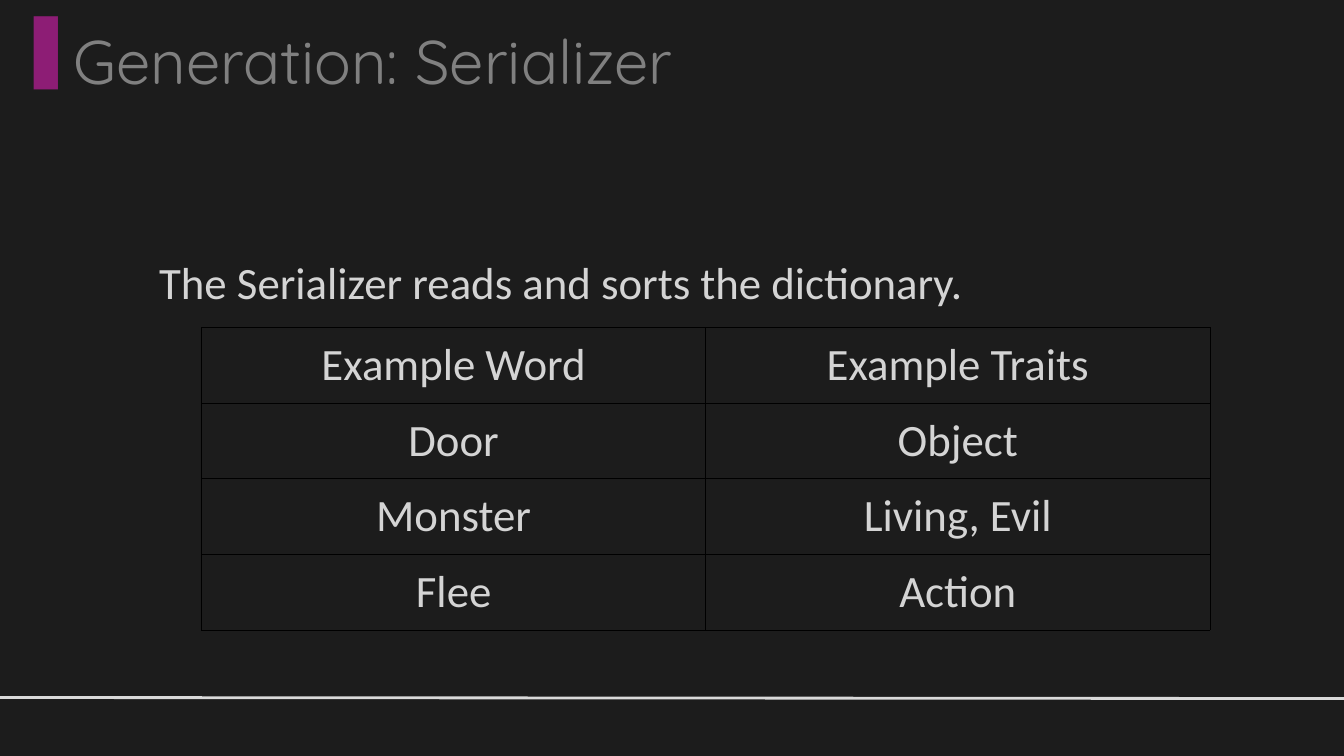
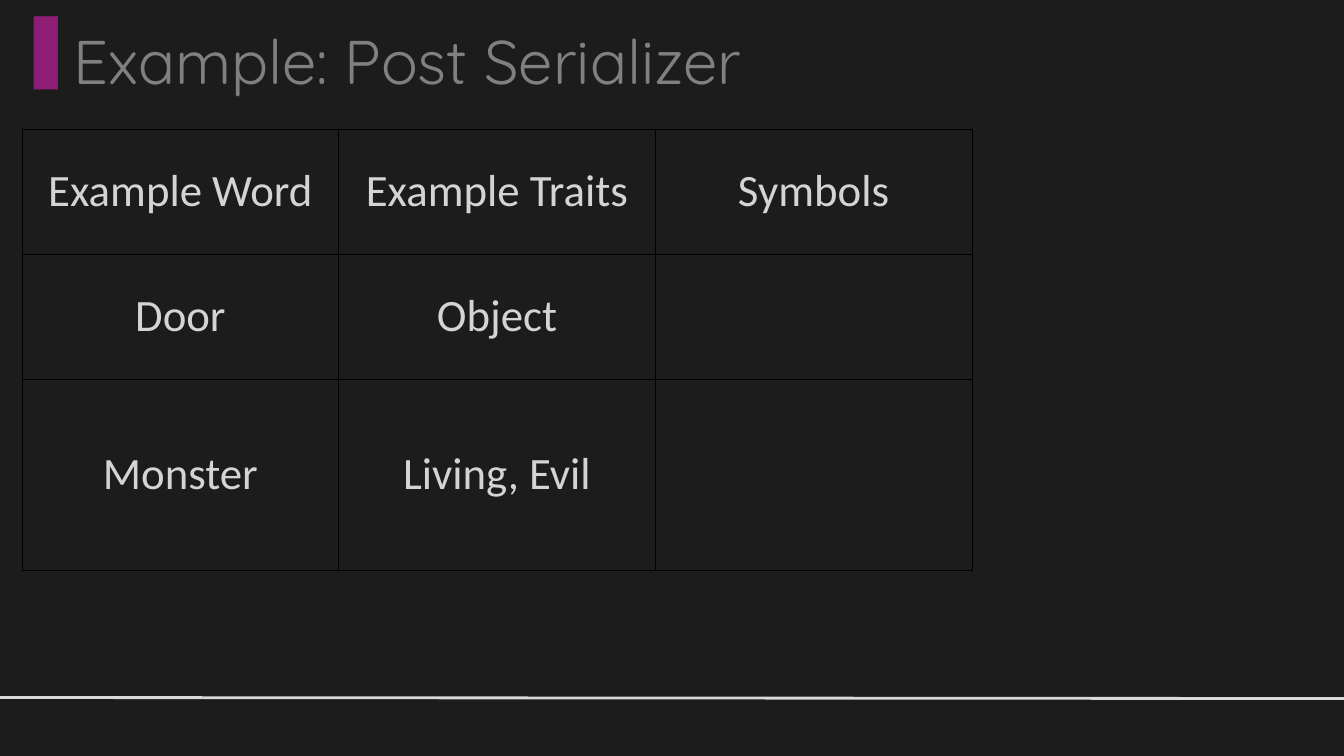
from lxml import etree
from pptx import Presentation
from pptx import util as u
from pptx.dml.color import RGBColor
from pptx.enum import shapes, text
from pptx.oxml import ns

COLORS = {"back": "1C1C1C", "rule": "D9D9D9", "mark": "8D1D75",
          "title": "808080", "body": "D4D4D4", "grid": "000000"}
FONTS = {"title": {"name": "Quicksand", "size": u.Pt(44), "bold": False},
         "body": {"name": "Calibri", "size": u.Pt(32), "bold": False}}
FRAME = {"word_wrap": True, "auto_size": text.MSO_AUTO_SIZE.NONE,
         "vertical_anchor": text.MSO_ANCHOR.TOP}
CELL = {"vertical_anchor": text.MSO_ANCHOR.MIDDLE,
        "margin_left": u.Inches(0.04), "margin_right": u.Inches(0.04),
        "margin_top": u.Inches(0.05), "margin_bottom": u.Inches(0.05)}
PLAIN = {"first_row": False, "horz_banding": False}
WIDTH, HEIGHT = 13.33, 7.5


def apply(obj, values):
    for key, value in values.items():
        setattr(obj, key, value)


def color(key):
    return RGBColor.from_string(COLORS[key])


def child(node, tag, **attrs):
    return etree.SubElement(node, ns.qn(tag), attrs)


class Deck:
    def __init__(self):
        self.prs = Presentation()
        apply(self.prs, {"slide_width": u.Inches(WIDTH),
                         "slide_height": u.Inches(HEIGHT)})
        fill = self.prs.slide_master.background.fill
        fill.solid()
        fill.fore_color.rgb = color("back")

    def start(self, title):
        self.slide = self.prs.slides.add_slide(self.prs.slide_layouts[5])
        self.rule()
        self.title(title)

    def rule(self):
        ends = [u.Inches(n) for n in (0, 6.92, WIDTH, 6.93)]
        line = self.slide.shapes.add_connector(
            shapes.MSO_CONNECTOR.STRAIGHT, *ends)
        line.line.color.rgb = color("rule")
        line.line.width = u.Pt(0)
        child(line._element.spPr, "a:effectLst")

    def label(self, para, words, style):
        run = para.add_run()
        run.text = words
        apply(run.font, FONTS[style])
        run.font.color.rgb = color(style)

    def title(self, words):
        box = self.slide.shapes.title
        apply(box, {"left": 0, "top": u.Inches(0.18),
                    "width": u.Inches(WIDTH), "height": u.Inches(1.48)})
        apply(box.text_frame, FRAME)
        para = box.text_frame.paragraphs[0]
        para.alignment = text.PP_ALIGN.LEFT
        props = para._p.get_or_add_pPr()
        indent = u.Inches(0.63)
        props.set("marL", str(indent))
        props.set("indent", str(-indent))
        child(child(props, "a:buClr"), "a:srgbClr", val=COLORS["mark"])
        child(props, "a:buChar", char="▐")
        self.label(para, words, "title")

    def note(self, words, *place):
        box = self.slide.shapes.add_textbox(*[u.Inches(n) for n in place])
        apply(box.text_frame, FRAME)
        self.label(box.text_frame.paragraphs[0], words, "body")

    def border(self, cell):
        props = cell._tc.get_or_add_tcPr()
        for side in "LRTB":
            line = child(props, f"a:ln{side}", w=str(u.Pt(0.57)))
            child(child(line, "a:solidFill"), "a:srgbClr", val=COLORS["grid"])

    def table(self, left, top, wide, highs, rows):
        count = len(rows[0])
        size = [u.Inches(n) for n in (left, top, wide * count, sum(highs))]
        grid = self.slide.shapes.add_table(len(rows), count, *size).table
        apply(grid, PLAIN)
        for col in grid.columns:
            col.width = u.Inches(wide)
        for row, high, words in zip(grid.rows, highs, rows):
            row.height = u.Inches(high)
            for cell, word in zip(row.cells, words):
                apply(cell, CELL)
                self.border(cell)
                cell.fill.background()
                para = cell.text_frame.paragraphs[0]
                para.alignment = text.PP_ALIGN.CENTER
                if word:
                    self.label(para, word, "body")


def main():
    head = ["Example Word", "Example Traits"]
    door = ["Door", "Object"]
    beast = ["Monster", "Living, Evil"]
    deck = Deck()

    deck.start("Generation: Serializer")
    deck.note("The Serializer reads and sorts the dictionary.",
              1.48, 2.48, 11.45, 0.7)
    deck.table(2, 3.25, 5, [0.75] * 4, [head, door, beast, ["Flee", "Action"]])

    deck.start("Example: Post Serializer")
    deck.table(0.22, 1.28, 3.14, [1.24, 1.24, 1.9],
               [head + ["Symbols"], door + [""], beast + [""]])

    deck.prs.save("out.pptx")


if __name__ == "__main__":
    main()
